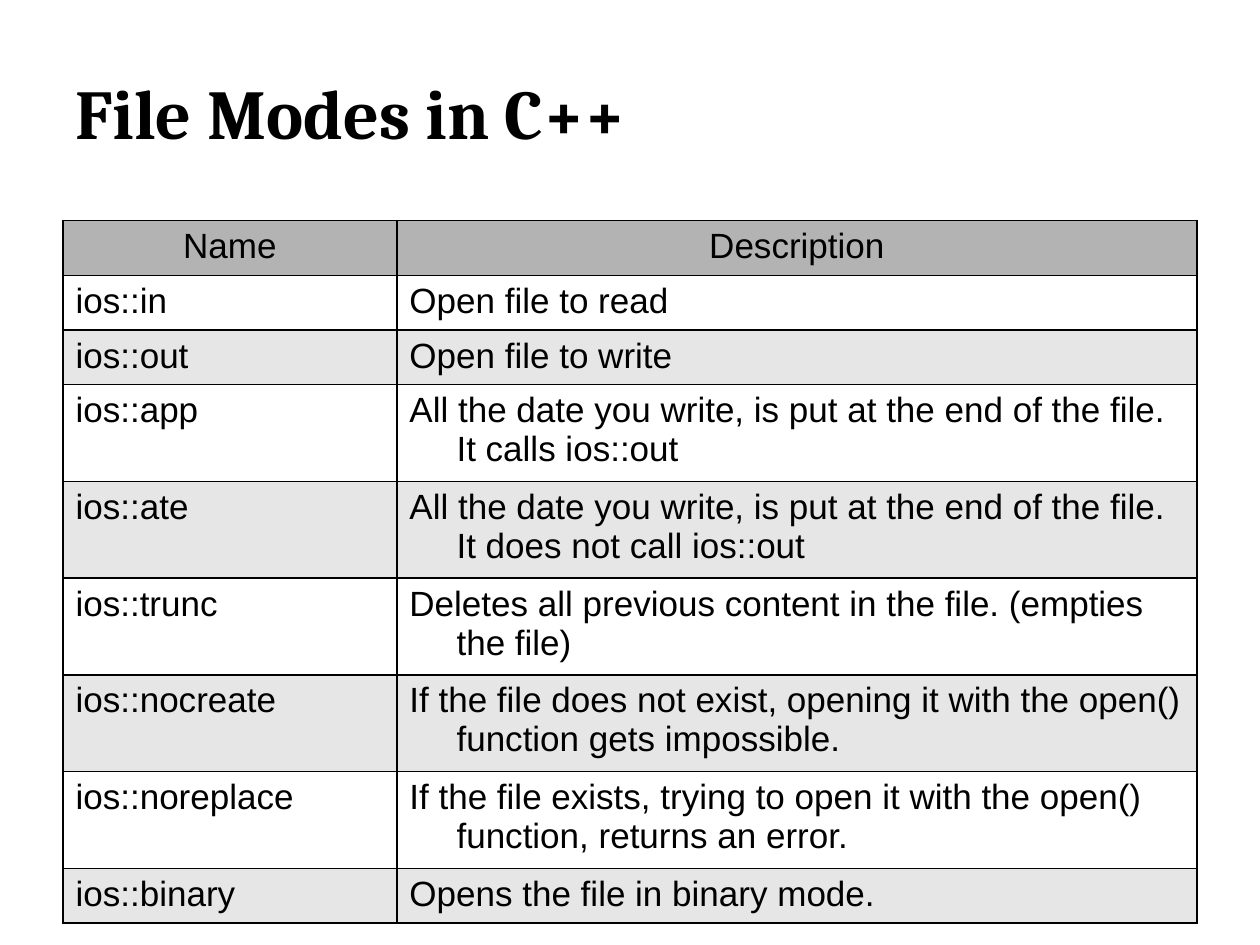
from dataclasses import dataclass
from typing import Any

from lxml.etree import SubElement
from pptx import Presentation
from pptx.dml.color import RGBColor
from pptx.enum.text import MSO_ANCHOR, PP_ALIGN
from pptx.oxml.ns import qn
from pptx.util import Cm, Pt

BLACK = RGBColor(0x00, 0x00, 0x00)
HEADER_GRAY = RGBColor(0xB3, 0xB3, 0xB3)
BAND_GRAY = RGBColor(0xE6, 0xE6, 0xE6)

TITLE_FORMAT = {"name": "Cambria", "size": Pt(40), "bold": True}
CELL_FORMAT = {"name": "Arial", "size": Pt(20), "bold": False}

LEFT = Cm(1.27)
COLUMN_WIDTHS = (Cm(6.73), Cm(16.13))
LINE_HEIGHTS = {1: Cm(1.1), 2: Cm(1.95)}
HANGING_INDENT = Cm(0.95)
BORDER_WIDTH = Pt(1)


@dataclass(frozen=True)
class FileMode:
    name: str
    description: str
    lines: int = 1


HEADER = FileMode("Name", "Description")
FILE_MODES = (
    FileMode("ios::in", "Open file to read"),
    FileMode("ios::out", "Open file to write"),
    FileMode("ios::app", "All the date you write, is put at the end of the file. "
             "It calls ios::out", 2),
    FileMode("ios::ate", "All the date you write, is put at the end of the file. "
             "It does not call ios::out", 2),
    FileMode("ios::trunc", "Deletes all previous content in the file. "
             "(empties the file)", 2),
    FileMode("ios::nocreate", "If the file does not exist, opening it with the open() "
             "function gets impossible.", 2),
    FileMode("ios::noreplace", "If the file exists, trying to open it with the open() "
             "function, returns an error.", 2),
    FileMode("ios::binary", "Opens the file in binary mode."),
)


def write_text(paragraph: Any, text: str, font_format: dict[str, Any]) -> None:
    run = paragraph.add_run()
    run.text = text
    for attribute, value in font_format.items():
        setattr(run.font, attribute, value)
    run.font.color.rgb = BLACK


def add_borders(cell: Any) -> None:
    properties = cell._tc.get_or_add_tcPr()
    # Border lines must come before the fill in the cell properties
    for position, side in enumerate(("a:lnL", "a:lnR", "a:lnT", "a:lnB")):
        line = SubElement(properties, qn(side), w=str(BORDER_WIDTH))
        fill = SubElement(line, qn("a:solidFill"))
        SubElement(fill, qn("a:srgbClr"), val=str(BLACK))
        properties.insert(position, line)


def format_cell(cell: Any, text: str, color: RGBColor | None,
                alignment: PP_ALIGN) -> None:
    paragraph = cell.text_frame.paragraphs[0]
    paragraph.alignment = alignment
    paragraph_properties = paragraph._p.get_or_add_pPr()
    paragraph_properties.set("marL", str(HANGING_INDENT))
    paragraph_properties.set("indent", str(-HANGING_INDENT))
    write_text(paragraph, text, CELL_FORMAT)
    if color is None:
        cell.fill.background()
    else:
        cell.fill.solid()
        cell.fill.fore_color.rgb = color
    add_borders(cell)


def add_title(slide: Any, text: str) -> None:
    shape = slide.shapes.add_textbox(LEFT, Cm(0.76), sum(COLUMN_WIDTHS), Cm(3.18))
    text_frame = shape.text_frame
    text_frame.word_wrap = True
    text_frame.vertical_anchor = MSO_ANCHOR.MIDDLE
    paragraph = text_frame.paragraphs[0]
    paragraph.line_spacing = 0.9
    write_text(paragraph, text, TITLE_FORMAT)


def add_mode_table(slide: Any, modes: tuple[FileMode, ...]) -> None:
    rows = (HEADER, *modes)
    heights = [LINE_HEIGHTS[mode.lines] for mode in rows]
    table = slide.shapes.add_table(
        len(rows), len(COLUMN_WIDTHS), LEFT, Cm(4.45),
        sum(COLUMN_WIDTHS), sum(heights)).table
    table.first_row = False
    table.horz_banding = False
    for column, width in zip(table.columns, COLUMN_WIDTHS):
        column.width = width

    for index, (mode, height) in enumerate(zip(rows, heights)):
        table.rows[index].height = height
        if mode is HEADER:
            color, alignment = HEADER_GRAY, PP_ALIGN.CENTER
        else:
            color = BAND_GRAY if index % 2 == 0 else None
            alignment = PP_ALIGN.LEFT
        for column_index, text in enumerate((mode.name, mode.description)):
            format_cell(table.cell(index, column_index), text, color, alignment)


def main() -> None:
    presentation = Presentation()
    presentation.slide_width = Cm(25.4)
    presentation.slide_height = Cm(19.05)
    slide = presentation.slides.add_slide(presentation.slide_layouts[6])

    # Title
    add_title(slide, "File Modes in C++")

    # Table of file modes
    add_mode_table(slide, FILE_MODES)

    presentation.save("out.pptx")


if __name__ == "__main__":
    main()
